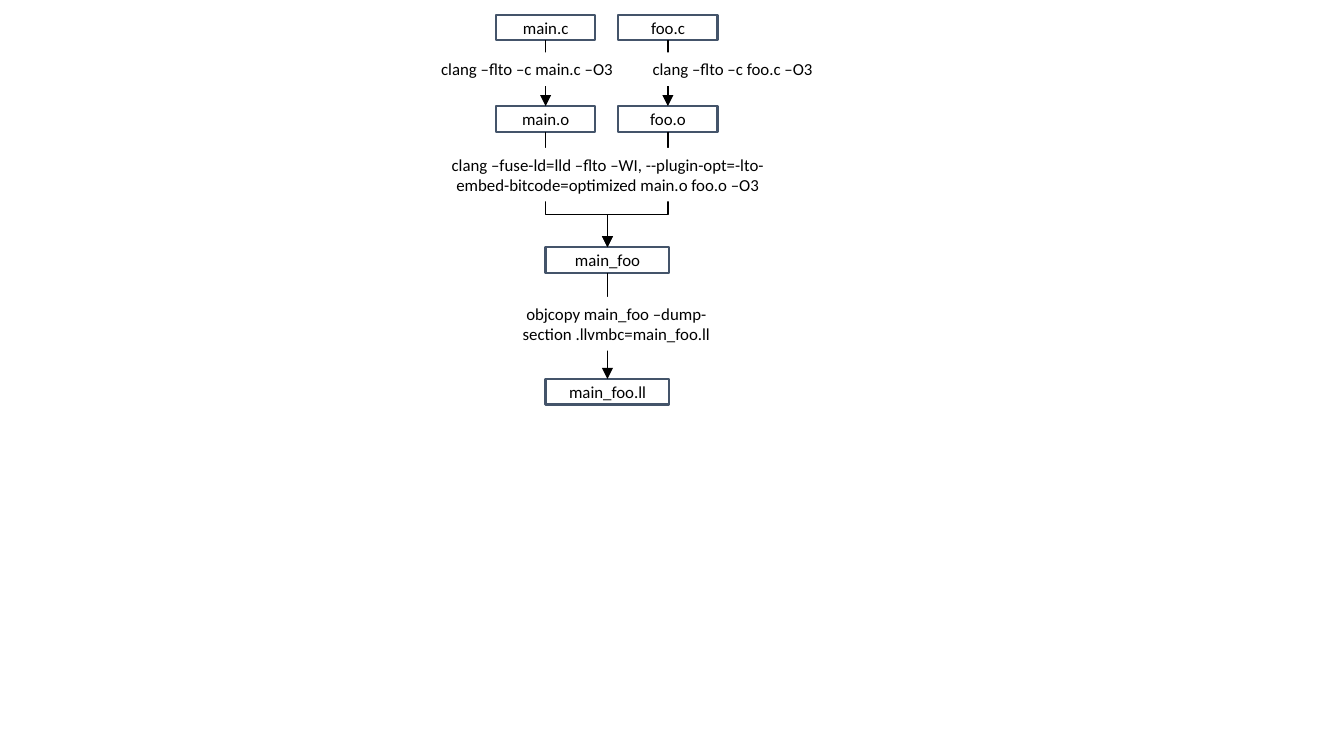
from lxml import etree
from pptx import Presentation
from pptx.dml.color import RGBColor
from pptx.enum.shapes import MSO_CONNECTOR, MSO_SHAPE
from pptx.enum.text import MSO_ANCHOR, PP_ALIGN
from pptx.oxml.ns import qn
from pptx.util import Inches, Pt

RECTANGLE = MSO_SHAPE.RECTANGLE
STRAIGHT, ELBOW = MSO_CONNECTOR.STRAIGHT, MSO_CONNECTOR.ELBOW
CENTER, MIDDLE = PP_ALIGN.CENTER, MSO_ANCHOR.MIDDLE
BOTTOM_SIDE, TOP_SIDE = 2, 0

COLORS = {"white": "FFFFFF", "border": "44546A", "black": "000000"}
FONT, FONT_SIZE = "Calibri", 9
FILE_HEIGHT = 0.19
ELBOW_BEND = 71500
MAIN_X, FOO_X, LINKED_X = 4.06, 4.97, 4.52

FILES = [
    ("main.c", MAIN_X, 0.11, 0.74),
    ("foo.c", FOO_X, 0.11, 0.74),
    ("main.o", MAIN_X, 0.79, 0.74),
    ("foo.o", FOO_X, 0.79, 0.74),
    ("main_foo", LINKED_X, 1.84, 0.92),
    ("main_foo.ll", LINKED_X, 2.82, 0.92),
]
STRAIGHT_STEPS = [("main.c", "main.o"), ("foo.c", "foo.o"), ("main_foo", "main_foo.ll")]
LINK_STEPS = [("main.o", "main_foo"), ("foo.o", "main_foo")]
COMMANDS = [
    ("clang –flto –c main.c –O3", 3.14, 0.39, 1.56, 0.25),
    ("clang –flto –c foo.c –O3", 4.67, 0.39, 1.56, 0.25),
    ("clang –fuse-ld=lld –flto –WI, --plugin-opt=-lto-embed-bitcode=optimized main.o foo.o –O3",
     3.21, 1.1, 2.62, 0.4),
    ("objcopy main_foo –dump-section .llvmbc=main_foo.ll", 3.4, 2.21, 2.37, 0.4),
]


def color(name):
    return RGBColor.from_string(COLORS[name])


def add_box(page, text, left, top, width, height, margin):
    box = page.shapes.add_shape(RECTANGLE, Inches(left), Inches(top), Inches(width), Inches(height))
    box.shadow.inherit = False
    box.fill.solid()
    box.fill.fore_color.rgb = color("white")
    box.line.fill.background()
    frame = box.text_frame
    frame.word_wrap = True
    frame.margin_top = frame.margin_bottom = Inches(margin)
    frame.vertical_anchor = MIDDLE
    frame.text = text
    para = frame.paragraphs[0]
    para.alignment = CENTER
    span = para.runs[0]
    span.font.name = FONT
    span.font.size = Pt(FONT_SIZE)
    span.font.color.rgb = color("black")
    return box


def style_arrow(arrow):
    arrow.line.color.rgb = color("black")
    arrow.line.width = Pt(0.75)
    properties = arrow._element.spPr
    etree.SubElement(properties.find(qn("a:ln")), qn("a:tailEnd"), type="triangle")
    etree.SubElement(properties, qn("a:effectLst"))


def add_straight_arrow(page, source, target):
    arrow = page.shapes.add_connector(STRAIGHT, 0, 0, 0, 0)
    arrow.begin_connect(source, BOTTOM_SIDE)
    arrow.end_connect(target, TOP_SIDE)
    style_arrow(arrow)


def add_elbow_arrow(page, source, target):
    start_x, start_y = source.left + source.width // 2, source.top + source.height
    end_x, end_y = target.left + target.width // 2, target.top
    length, rise = end_y - start_y, abs(end_x - start_x)
    left = (start_x + end_x - length) // 2
    top = (start_y + end_y - rise) // 2
    arrow = page.shapes.add_connector(ELBOW, left, top, left + length, top + rise)
    transform = arrow._element.spPr.find(qn("a:xfrm"))
    if end_x > start_x:
        transform.set("rot", str(270 * 60000))
        transform.set("flipH", "1")
    else:
        transform.set("rot", str(90 * 60000))
    geometry = arrow._element.spPr.find(qn("a:prstGeom"))
    guides = geometry.find(qn("a:avLst"))
    etree.SubElement(guides, qn("a:gd"), name="adj1", fmla=f"val {ELBOW_BEND}")
    style_arrow(arrow)


def main():
    deck = Presentation()
    deck.slide_width = Inches(10)
    deck.slide_height = deck.slide_width * 9 // 16
    page = deck.slides.add_slide(deck.slide_layouts[6])

    boxes = {}
    for name, center, top, width in FILES:
        box = add_box(page, name, center - width / 2, top, width, FILE_HEIGHT, 0)
        box.line.color.rgb = color("border")
        box.line.width = Pt(1.25)
        boxes[name] = box

    for source, target in STRAIGHT_STEPS:
        add_straight_arrow(page, boxes[source], boxes[target])
    for source, target in LINK_STEPS:
        add_elbow_arrow(page, boxes[source], boxes[target])
    for command in COMMANDS:
        add_box(page, *command, 0.05)

    deck.save("out.pptx")


if __name__ == "__main__":
    main()
